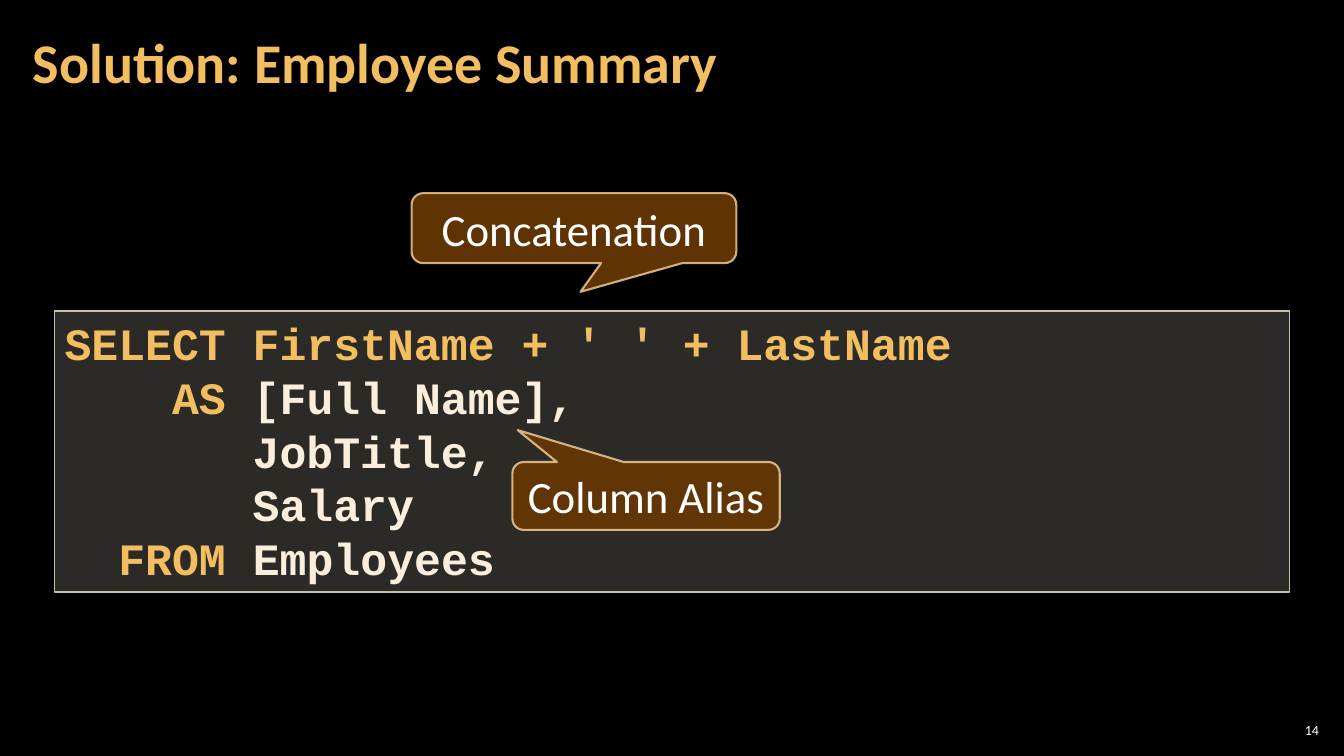
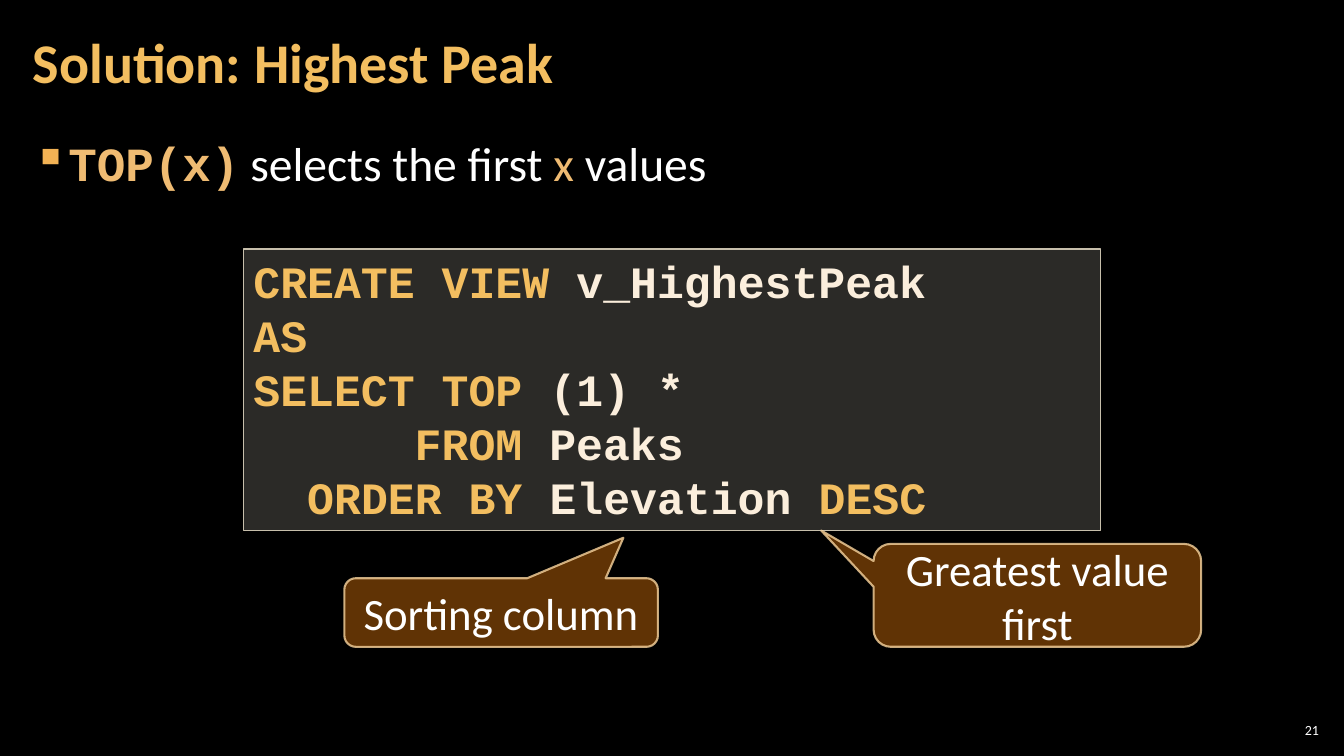
from lxml import etree
from pptx import Presentation
from pptx.dml.color import RGBColor
from pptx.enum import shapes, text
from pptx.oxml.ns import qn
from pptx.util import Pt

BLACK = RGBColor(0x00, 0x00, 0x00)
WHITE = RGBColor(0xFF, 0xFF, 0xFF)
GOLD = RGBColor(0xF3, 0xBE, 0x60)
CREAM = RGBColor(0xFB, 0xEE, 0xDC)
TERM = RGBColor(0xEF, 0xBB, 0x72)
BULLET = RGBColor(0xF2, 0xB2, 0x54)
CODE_FILL = RGBColor(0xD9, 0xD5, 0xC7)
CODE_BORDER = RGBColor(0xC7, 0xBF, 0xAC)
CALLOUT_FILL = RGBColor(0x66, 0x36, 0x06)
CALLOUT_BORDER = RGBColor(0xF8, 0xD4, 0x9E)

BODY_FONT = "Calibri"
CODE_FONT = "Courier New"
CODE_SIZE = 32
CODE_CHAR_WIDTH = 0.6 * CODE_SIZE
TITLE_ONLY = 5


def add_run(paragraph, words, size, color, font=BODY_FONT, bold=False):
    run = paragraph.add_run()
    run.text = words
    run.font.name = font
    run.font.size = Pt(size)
    run.font.bold = bold
    run.font.color.rgb = color


def place(shape, box):
    shape.left, shape.top, shape.width, shape.height = map(Pt, box)


def set_frame(shape, anchor, side=7.2, edge=3.6):
    frame = shape.text_frame
    frame.word_wrap = True
    frame.auto_size = text.MSO_AUTO_SIZE.NONE
    frame.vertical_anchor = anchor
    frame.margin_left = frame.margin_right = Pt(side)
    frame.margin_top = frame.margin_bottom = Pt(edge)
    return frame


def set_opacity(parent, percent):
    """Set the opacity of the solid fill that is a direct child of parent."""
    color = parent.find(qn("a:solidFill"))[0]
    etree.SubElement(color, qn("a:alpha")).set("val", str(percent * 1000))


def add_panel(slide, kind, box, fill, opacity, border, border_width):
    panel = slide.shapes.add_shape(kind, *map(Pt, box))
    panel.shadow.inherit = False
    panel.fill.solid()
    panel.fill.fore_color.rgb = fill
    set_opacity(panel.element.spPr, opacity)
    panel.line.color.rgb = border
    panel.line.width = Pt(border_width)
    return panel


def add_titled_slide(deck, heading, number):
    slide = deck.slides.add_slide(deck.slide_layouts[TITLE_ONLY])
    slide.background.fill.solid()
    slide.background.fill.fore_color.rgb = BLACK

    title = slide.shapes.title
    place(title, (15, 3, 754, 87))
    paragraph = set_frame(title, text.MSO_ANCHOR.MIDDLE, 8.5, 2.9).paragraphs[0]
    paragraph.alignment = text.PP_ALIGN.LEFT
    paragraph.line_spacing = 0.9
    add_run(paragraph, heading, 40, GOLD, bold=True)

    page = slide.shapes.add_textbox(Pt(911), Pt(514), Pt(34), Pt(15))
    paragraph = set_frame(page, text.MSO_ANCHOR.MIDDLE, 2.9, 2.9).paragraphs[0]
    paragraph.alignment = text.PP_ALIGN.RIGHT
    add_run(paragraph, number, 10, WHITE)
    return slide


def add_bullet(slide, box, runs):
    body = slide.shapes.add_textbox(*map(Pt, box))
    paragraph = set_frame(body, text.MSO_ANCHOR.TOP, 8.5, 2.9).paragraphs[0]
    paragraph.line_spacing = 1.05
    paragraph.space_before = paragraph._p.get_or_add_pPr() is not None and Pt(6)
    paragraph.space_after = Pt(6)
    properties = paragraph._p.get_or_add_pPr()
    properties.set("marL", str(Pt(24)))
    properties.set("indent", str(-Pt(24)))
    color = etree.SubElement(properties, qn("a:buClr"))
    etree.SubElement(color, qn("a:srgbClr")).set("val", str(BULLET))
    etree.SubElement(properties, qn("a:buChar")).set("char", "▪")
    for words, color, font, bold in runs:
        add_run(paragraph, words, 34, color, font, bold)


def add_code(slide, box, lines):
    """Add a code panel; each line is its indent in characters, then its runs."""
    panel = add_panel(slide, shapes.MSO_SHAPE.RECTANGLE, box,
                      CODE_FILL, 20, CODE_BORDER, 1)
    frame = set_frame(panel, text.MSO_ANCHOR.TOP)
    frame.auto_size = text.MSO_AUTO_SIZE.SHAPE_TO_FIT_TEXT
    for index, (indent, *runs) in enumerate(lines):
        paragraph = frame.add_paragraph() if index else frame.paragraphs[0]
        paragraph.alignment = text.PP_ALIGN.LEFT
        paragraph._p.get_or_add_pPr().set("marL", str(Pt(indent * CODE_CHAR_WIDTH)))
        for words, color in runs:
            add_run(paragraph, words, CODE_SIZE, color, CODE_FONT, True)


def add_callout(slide, box, tip, label):
    """Add a callout; tip is its offset from the centre as a share of the size."""
    callout = add_panel(slide, shapes.MSO_SHAPE.ROUNDED_RECTANGULAR_CALLOUT, box,
                        CALLOUT_FILL, 95, CALLOUT_BORDER, 1.5)
    set_opacity(callout.element.spPr.find(qn("a:ln")), 80)
    callout.adjustments[0], callout.adjustments[1] = tip
    paragraph = set_frame(callout, text.MSO_ANCHOR.MIDDLE).paragraphs[0]
    paragraph.alignment = text.PP_ALIGN.CENTER
    add_run(paragraph, label, 32, WHITE)


def add_employee_summary(deck):
    slide = add_titled_slide(deck, "Solution: Employee Summary", "14")
    add_code(slide, (39, 222, 882, 201), [
        (0, ("SELECT FirstName + ' ' + LastName", GOLD)),
        (4, ("AS", GOLD), (" [Full Name],", CREAM)),
        (7, ("JobTitle,", CREAM)),
        (7, ("Salary", CREAM)),
        (2, ("FROM", GOLD), (" Employees", CREAM)),
    ])
    add_callout(slide, (294, 138, 232, 50), (0.02, 0.91), "Concatenation")
    add_callout(slide, (366, 330, 191, 48.5), (-0.48, -0.97), "Column Alias")


def add_highest_peak(deck):
    slide = add_titled_slide(deck, "Solution: Highest Peak", "21")
    add_bullet(slide, (15, 90.5, 930, 438), [
        ("TOP(x)", TERM, CODE_FONT, True),
        (" selects the first ", WHITE, BODY_FONT, False),
        ("x", TERM, BODY_FONT, False),
        (" values", WHITE, BODY_FONT, False),
    ])
    add_code(slide, (174, 178, 612, 201), [
        (0, ("CREATE VIEW ", GOLD), ("v_HighestPeak", CREAM)),
        (0, ("AS", GOLD)),
        (0, ("SELECT TOP ", GOLD), ("(1) *", CREAM)),
        (6, ("FROM", GOLD), (" Peaks", CREAM)),
        (2, ("ORDER BY ", GOLD), ("Elevation ", CREAM), ("DESC", GOLD)),
    ])
    add_callout(slide, (624, 388.5, 234, 73.5), (-0.66, -0.63), "Greatest value first")
    add_callout(slide, (246, 413, 224, 49), (0.39, -1.09), "Sorting column")


def main():
    deck = Presentation()
    deck.slide_width, deck.slide_height = Pt(960), Pt(540)
    add_employee_summary(deck)
    add_highest_peak(deck)
    deck.save("out.pptx")


if __name__ == "__main__":
    main()
